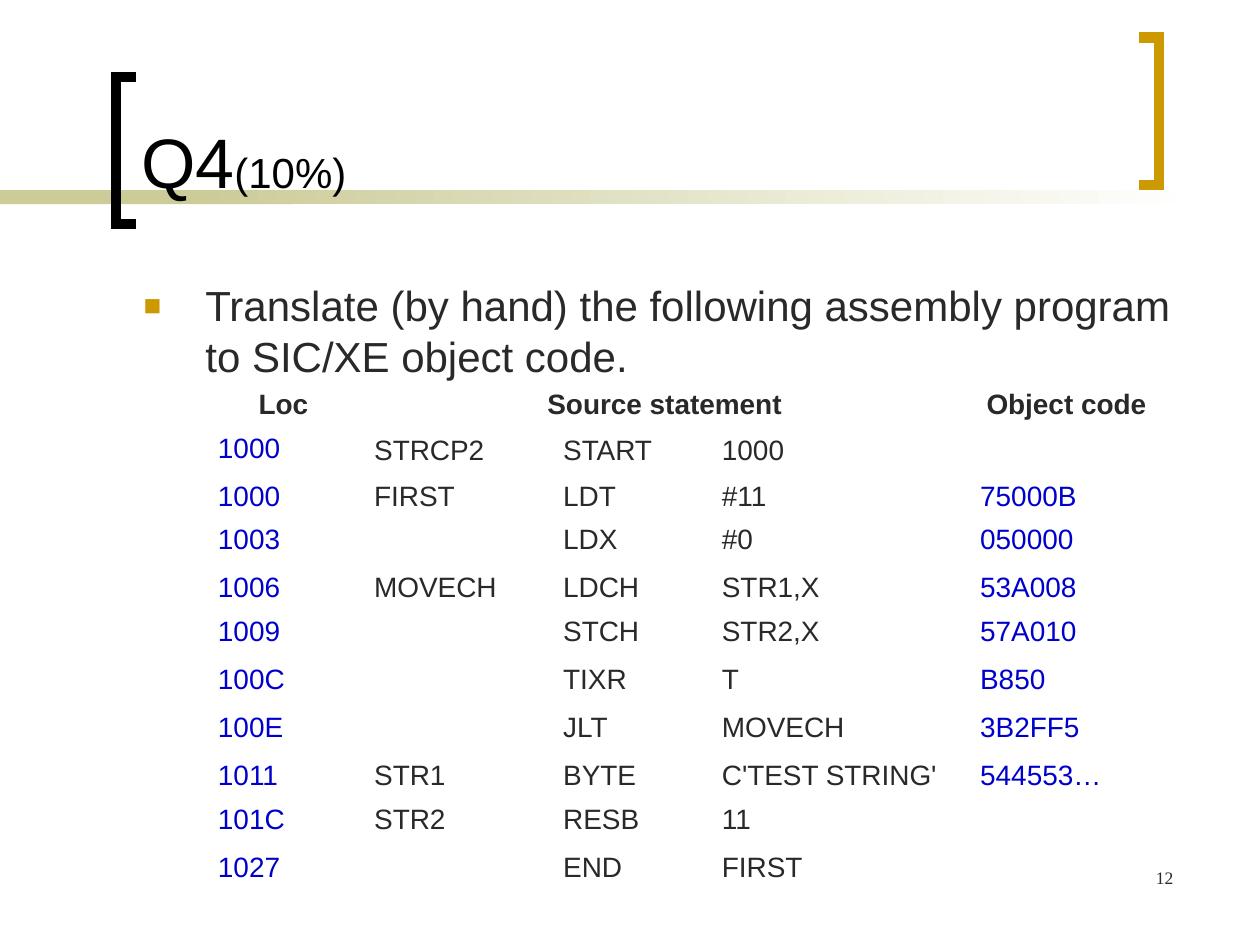
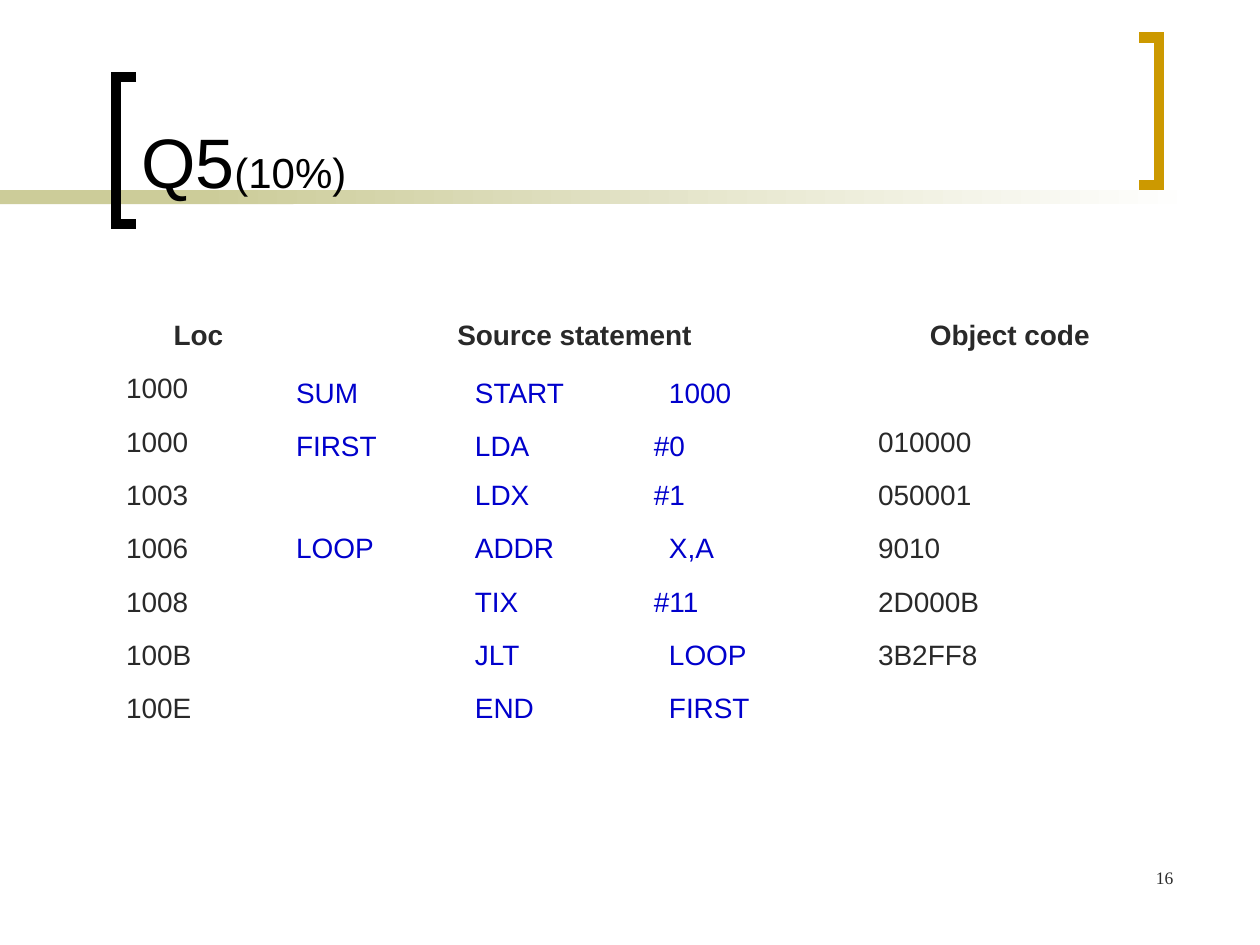
from lxml.etree import SubElement
from pptx import Presentation
from pptx.dml.color import RGBColor
from pptx.enum.shapes import MSO_SHAPE
from pptx.enum.text import MSO_ANCHOR, MSO_AUTO_SIZE, PP_ALIGN
from pptx.oxml.ns import qn
from pptx.util import Inches, Pt

BLACK = RGBColor(0x00, 0x00, 0x00)
WHITE = RGBColor(0xFF, 0xFF, 0xFF)
INK = RGBColor(0x29, 0x29, 0x29)
BLUE = RGBColor(0x00, 0x00, 0xCC)
GOLD = RGBColor(0xCC, 0x99, 0x00)
KHAKI = RGBColor(0xCC, 0xCC, 0x99)

HEAD = ["Loc", "Source statement", "", "", "Object code"]
PAGES = [
    {
        "title": "Q4",
        "task": "Translate (by hand) the following assembly program to SIC/XE object code.",
        "box": (1.63, 3.04, 7.62, 3.67),
        "cols": (1.24, 1.5, 1.26, 2.05, 1.57),
        "side": BLUE,
        "code": INK,
        "pad": 0,
        "num": "12",
        "rows": [
            ["1000", "STRCP2", "START", "1000", ""],
            ["1000", "FIRST", "LDT", "#11", "75000B"],
            ["1003", "", "LDX", "#0", "050000"],
            ["1006", "MOVECH", "LDCH", "STR1,X", "53A008"],
            ["1009", "", "STCH", "STR2,X", "57A010"],
            ["100C", "", "TIXR", "T", "B850"],
            ["100E", "", "JLT", "MOVECH", "3B2FF5"],
            ["1011", "STR1", "BYTE", "C'TEST STRING'", "544553…"],
            ["101C", "STR2", "RESB", "11", ""],
            ["1027", "", "END", "FIRST", ""],
        ],
    },
    {
        "title": "Q5",
        "task": "",
        "box": (0.9, 2.49, 8.27, 3.39),
        "cols": (1.35, 1.42, 1.42, 1.78, 2.29),
        "side": INK,
        "code": BLUE,
        "pad": 0.12,
        "num": "16",
        "rows": [
            ["1000", "SUM", "START", "1000", ""],
            ["1000", "FIRST", "LDA", "#0", "010000"],
            ["1003", "", "LDX", "#1", "050001"],
            ["1006", "LOOP", "ADDR", "X,A", "9010"],
            ["1008", "", "TIX", "#11", "2D000B"],
            ["100B", "", "JLT", "LOOP", "3B2FF8"],
            ["100E", "", "END", "FIRST", ""],
        ],
    },
]


def write(para, text, size=16, color=INK, bold=False, font="Arial", align=PP_ALIGN.LEFT):
    para.alignment = align
    run = para.add_run()
    run.text = text
    run.font.size = Pt(size)
    run.font.name = font
    run.font.bold = bold
    run.font.color.rgb = color


def place(shape, *box):
    shape.left, shape.top, shape.width, shape.height = map(Inches, box)


prs = Presentation()
prs.slide_width, prs.slide_height = Inches(10), Inches(7.5)
slides = [prs.slides.add_slide(prs.slide_layouts[1 if page["task"] else 5]) for page in PAGES]

shapes = slides[0].shapes
decor = []
for left, width in ((0, 2.33), (1.58, 7.92)):
    band = shapes.add_shape(MSO_SHAPE.RECTANGLE, Inches(left), Inches(1.51), Inches(width), Inches(0.11))
    band.shadow.inherit = False
    band.line.fill.background()
    decor.append(band)
decor[0].fill.solid()
decor[0].fill.fore_color.rgb = KHAKI
fade = decor[1].fill
fade.gradient()
fade.gradient_angle = 180
for stop, color in zip(fade.gradient_stops, (WHITE, KHAKI)):
    stop.color.rgb = color

for tip, spine, top, color in ((1.08, 0.92, 0.61, BLACK), (9.04, 9.2, 0.3, GOLD)):
    end = top + 1.17
    path = shapes.build_freeform(Inches(tip), Inches(top))
    path.add_line_segments([(Inches(x), Inches(y)) for x, y in ((spine, top), (spine, end), (tip, end))], close=False)
    mark = path.convert_to_shape()
    mark.shadow.inherit = False
    mark.fill.background()
    mark.line.color.rgb = color
    mark.line.width = Pt(6)
    SubElement(mark.line._ln, qn("a:miter"), lim="800000")
    decor.append(mark)

for num, part in enumerate(decor, 20):
    part.element.nvSpPr.cNvPr.set("id", str(num))
    prs.slide_master.shapes.element.append(part.element)

for slide, page in zip(slides, PAGES):
    title = slide.shapes.title
    place(title, 1.02, 0.11, 7.83, 1.55)
    frame = title.text_frame
    frame.auto_size = MSO_AUTO_SIZE.NONE
    frame.vertical_anchor = MSO_ANCHOR.BOTTOM
    write(frame.paragraphs[0], page["title"], size=40, color=BLACK)
    write(frame.paragraphs[0], "(10%)", size=24, color=BLACK)

    if page["task"]:
        body = slide.placeholders[1]
        place(body, 1.04, 2.17, 8.38, 4.5)
        body.text_frame.auto_size = MSO_AUTO_SIZE.NONE
        para = body.text_frame.paragraphs[0]
        write(para, page["task"], size=24)
        para.space_before = Pt(6)
        props = para._p.get_or_add_pPr()
        props.set("marL", str(Inches(0.49)))
        props.set("indent", str(Inches(-0.49)))
        tint = SubElement(props, qn("a:buClr"))
        SubElement(tint, qn("a:srgbClr"), val=str(GOLD))
        SubElement(props, qn("a:buSzPct"), val="70000")
        SubElement(props, qn("a:buFont"), typeface="Arial")
        SubElement(props, qn("a:buChar"), char="■")

    rows = [HEAD] + page["rows"]
    table = slide.shapes.add_table(len(rows), len(HEAD), *map(Inches, page["box"])).table
    table.first_row = table.horz_banding = False
    for col, width in zip(table.columns, page["cols"]):
        col.width = Inches(width)
    table.cell(0, 1).merge(table.cell(0, 3))
    for r, row in enumerate(rows):
        for c, text in enumerate(row):
            cell = table.cell(r, c)
            cell.fill.background()
            para = cell.text_frame.paragraphs[0]
            if not text:
                blank = SubElement(para._p, qn("a:endParaRPr"), sz="1800" if r else "1600")
                SubElement(blank, qn("a:latin"), typeface="Arial")
            elif r == 0:
                write(para, text, bold=True, align=PP_ALIGN.CENTER)
            else:
                write(para, text, color=page["side"] if c in (0, 4) else page["code"])
            if r in (1, 2) and c in (1, 2, 3):
                cell.vertical_anchor = MSO_ANCHOR.MIDDLE
            if r and c == 3 and not text.startswith("#"):
                para._p.get_or_add_pPr().set("marL", str(Inches(page["pad"])))

    foot = slide.shapes.add_textbox(Inches(7.33), Inches(6.83), Inches(2.08), Inches(0.5))
    foot.text_frame.word_wrap = True
    write(foot.text_frame.paragraphs[0], page["num"], size=10, font="Times New Roman", align=PP_ALIGN.RIGHT)

prs.save("out.pptx")
